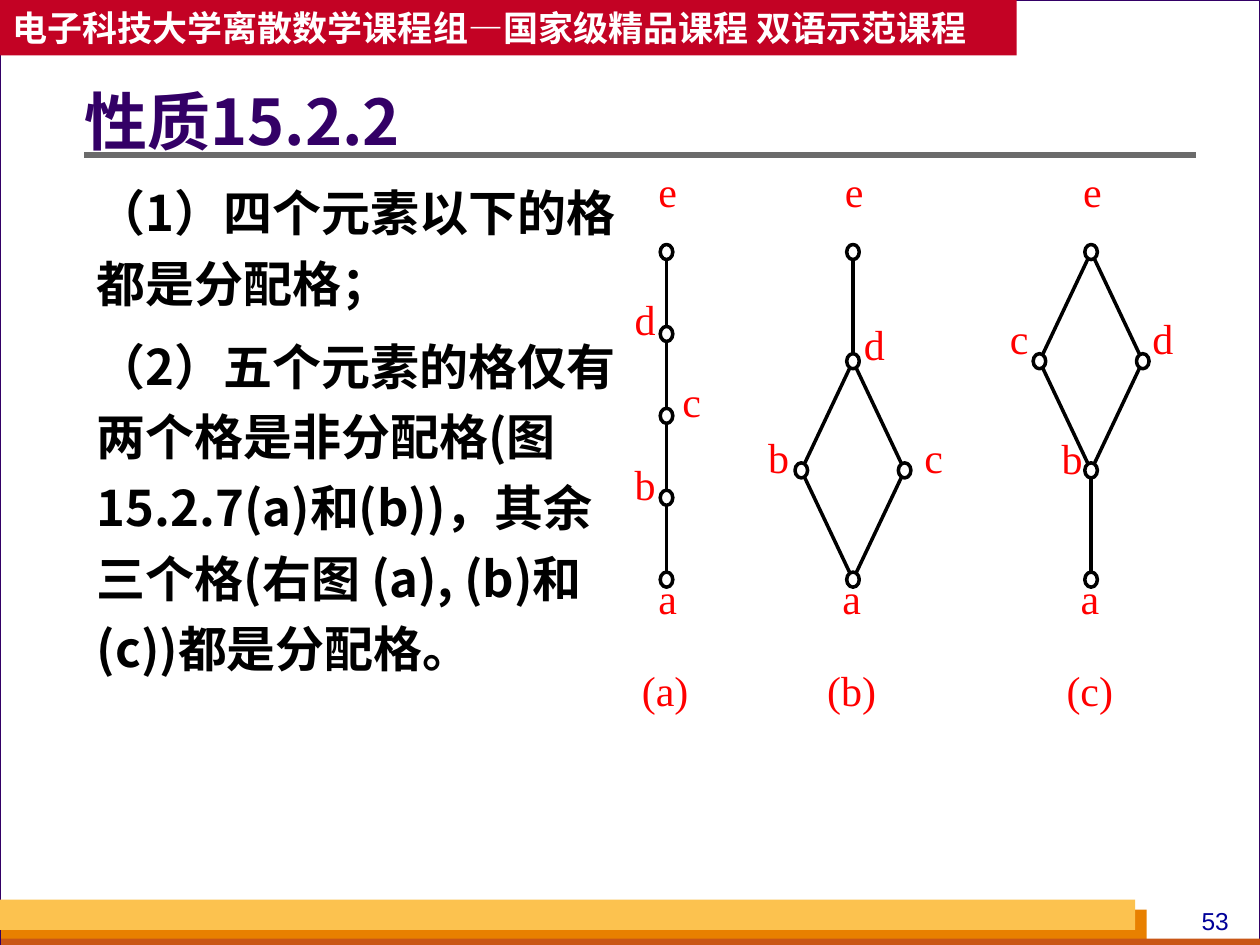
from lxml import etree
from pptx import Presentation
from pptx.dml.color import RGBColor
from pptx.enum.shapes import MSO_CONNECTOR, MSO_SHAPE
from pptx.enum.text import MSO_ANCHOR, PP_ALIGN
from pptx.oxml.ns import qn
from pptx.util import Inches, Pt

RECTANGLE, OVAL = MSO_SHAPE.RECTANGLE, MSO_SHAPE.OVAL
STRAIGHT = MSO_CONNECTOR.STRAIGHT
LEFT, CENTER = PP_ALIGN.LEFT, PP_ALIGN.CENTER
TOP, MIDDLE = MSO_ANCHOR.TOP, MSO_ANCHOR.MIDDLE

WIDTH, HEIGHT = 10, 7.5
MARGIN, CONTENT_WIDTH = 0.67, 8.82
CHINESE, SERIF = "Noto Sans CJK SC", "Times New Roman"
NODE_WIDTH, NODE_HEIGHT = 0.1, 0.12
LABEL_WIDTH, LABEL_HEIGHT = 0.2, 0.62
TOP_LEVEL, BOTTOM_LEVEL = 2, 4.6
CHAIN_STEP = (BOTTOM_LEVEL - TOP_LEVEL) / 4
DIAMOND_STEP = (BOTTOM_LEVEL - TOP_LEVEL) / 3
HALF_DIAMOND = 0.41

# Each lattice: caption, centre x, level step, edges, and nodes given as
# name: (column, level, label offset across, label offset down)
LATTICES = [
    ("(a)", 5.29, CHAIN_STEP, ["ea"], {
        "e": (0, 0, 0.01, -0.69), "d": (0, 1, -0.17, -0.32),
        "c": (0, 2, 0.2, -0.32), "b": (0, 3, -0.17, -0.31),
        "a": (0, 4, 0.01, -0.06)}),
    ("(b)", 6.77, DIAMOND_STEP, ["ed", "db", "dc", "ba", "ca"], {
        "e": (0, 0, 0.01, -0.69), "d": (0, 1, 0.17, -0.34),
        "b": (-1, 2, -0.18, -0.31), "c": (1, 2, 0.23, -0.31),
        "a": (0, 3, -0.01, -0.06)}),
    ("(c)", 8.66, DIAMOND_STEP, ["ec", "ed", "cb", "db", "ba"], {
        "e": (0, 0, 0.01, -0.69), "c": (-1, 1, -0.16, -0.39),
        "d": (1, 1, 0.16, -0.39), "b": (0, 2, -0.15, -0.3),
        "a": (0, 3, -0.01, -0.06)}),
]


def color(code):
    return RGBColor.from_string(code)


def add_box(slide, kind, left, top, width, height, fill, line=None, weight=1):
    shape = slide.shapes.add_shape(
        kind, Inches(left), Inches(top), Inches(width), Inches(height))
    shape.shadow.inherit = False
    shape.fill.solid()
    shape.fill.fore_color.rgb = color(fill)
    if line:
        shape.line.color.rgb = color(line)
        shape.line.width = Pt(weight)
    else:
        shape.line.fill.background()
    return shape


def add_line(slide, start, end, code, weight):
    connector = slide.shapes.add_connector(
        STRAIGHT, *(Inches(value) for value in (*start, *end)))
    connector.line.color.rgb = color(code)
    connector.line.width = Pt(weight)
    etree.SubElement(connector._element.spPr, qn("a:effectLst"))


def write(shape, lines, size, font, code, bold=False, align=LEFT, anchor=TOP,
          insets=(0.1, 0.05, 0.1, 0.05), spacing=1, before=0):
    frame = shape.text_frame
    frame.word_wrap = True
    frame.vertical_anchor = anchor
    (frame.margin_left, frame.margin_top,
     frame.margin_right, frame.margin_bottom) = map(Inches, insets)
    for index, line in enumerate(lines):
        paragraph = frame.add_paragraph() if index else frame.paragraphs[0]
        paragraph.text = line
        paragraph.alignment = align
        paragraph.line_spacing = spacing
        if index:
            paragraph.space_before = Pt(before)
        paragraph.font.size = Pt(size)
        paragraph.font.bold = bold
        paragraph.font.color.rgb = color(code)
        paragraph.font.name = font
        # East Asian characters take their font from a separate element
        defaults = paragraph._p.pPr.find(qn("a:defRPr"))
        etree.SubElement(defaults, qn("a:ea")).set("typeface", font)


def add_text(slide, left, top, width, height, lines, *style, **options):
    box = slide.shapes.add_textbox(
        Inches(left), Inches(top), Inches(width), Inches(height))
    write(box, lines, *style, **options)


def add_label(slide, center, top, text, width=LABEL_WIDTH):
    add_text(slide, center - width / 2, top, width, LABEL_HEIGHT, [text],
             24, SERIF, "FF0000", align=CENTER, insets=(0, 0, 0, 0))


def add_edge(slide, upper, lower):
    """Join two nodes, stopping at the rim of each."""
    (x1, y1), (x2, y2) = upper, lower
    trim = NODE_HEIGHT / 2
    shift = (x2 - x1) * trim / (y2 - y1)
    add_line(slide, (x1 + shift, y1 + trim), (x2 - shift, y2 - trim), "000000", 2)


def add_lattice(slide, caption, center, step, edges, nodes):
    places = {name: (center + column * HALF_DIAMOND, TOP_LEVEL + level * step)
              for name, (column, level, _, _) in nodes.items()}
    for upper, lower in edges:
        add_edge(slide, places[upper], places[lower])
    for name, (x, y) in places.items():
        add_box(slide, OVAL, x - NODE_WIDTH / 2, y - NODE_HEIGHT / 2,
                NODE_WIDTH, NODE_HEIGHT, "FFFFFF", "000000", 2)
    for name, (_, _, across, down) in nodes.items():
        x, y = places[name]
        add_label(slide, x + across, y + down, name)
    add_label(slide, center - 0.01, 5.27, caption, width=0.5)


def add_frame(slide):
    # Page, footer bands and slide number
    add_box(slide, RECTANGLE, 0, 0, WIDTH, HEIGHT, "FFFFFF", "330066", 0.75)
    add_box(slide, RECTANGLE, 0.01, 7.22, 9.09, 0.28, "E88000")
    add_box(slide, RECTANGLE, 0.01, 7.45, WIDTH, 0.08, "C95616")
    add_box(slide, RECTANGLE, 0, 7.14, 9.01, 0.24, "FCC24F")
    add_text(slide, 9.33, 7.14, 0.63, 0.34, ["53"], 14, "Arial", "000099",
             align=CENTER)
    # Title rule and header banner
    add_line(slide, (MARGIN, 1.23), (MARGIN + CONTENT_WIDTH, 1.23), "6B6B6B", 3)
    banner = add_box(slide, RECTANGLE, 0, 0, 8.07, 0.44, "C30224")
    write(banner, ["电子科技大学离散数学课程组—国家级精品课程 双语示范课程"],
          20, CHINESE, "FFFFFF", bold=True, anchor=MIDDLE)


def main():
    presentation = Presentation()
    presentation.slide_width = Inches(WIDTH)
    presentation.slide_height = Inches(HEIGHT)
    slide = presentation.slides.add_slide(presentation.slide_layouts[6])
    slide.background.fill.solid()
    slide.background.fill.fore_color.rgb = color("D8DADA")
    add_frame(slide)

    # Title and statement
    add_text(slide, MARGIN, 0.52, CONTENT_WIDTH, 0.95, ["性质15.2.2"],
             36, CHINESE, "330066", bold=True, anchor=MIDDLE,
             insets=(0, 0.05, 0.1, 0.05), spacing=0.9)
    add_text(slide, MARGIN, 1.31, 4.49, 5.36, [
        "（1）四个元素以下的格都是分配格；",
        "（2）五个元素的格仅有两个格是非分配格(图15.2.7(a)和(b))，"
        "其余三个格(右图 (a), (b)和(c))都是分配格。",
    ], 28, CHINESE, "000000", bold=True, spacing=1.2, before=7)

    # Hasse diagrams
    for lattice in LATTICES:
        add_lattice(slide, *lattice)
    presentation.save("out.pptx")


if __name__ == "__main__":
    main()
